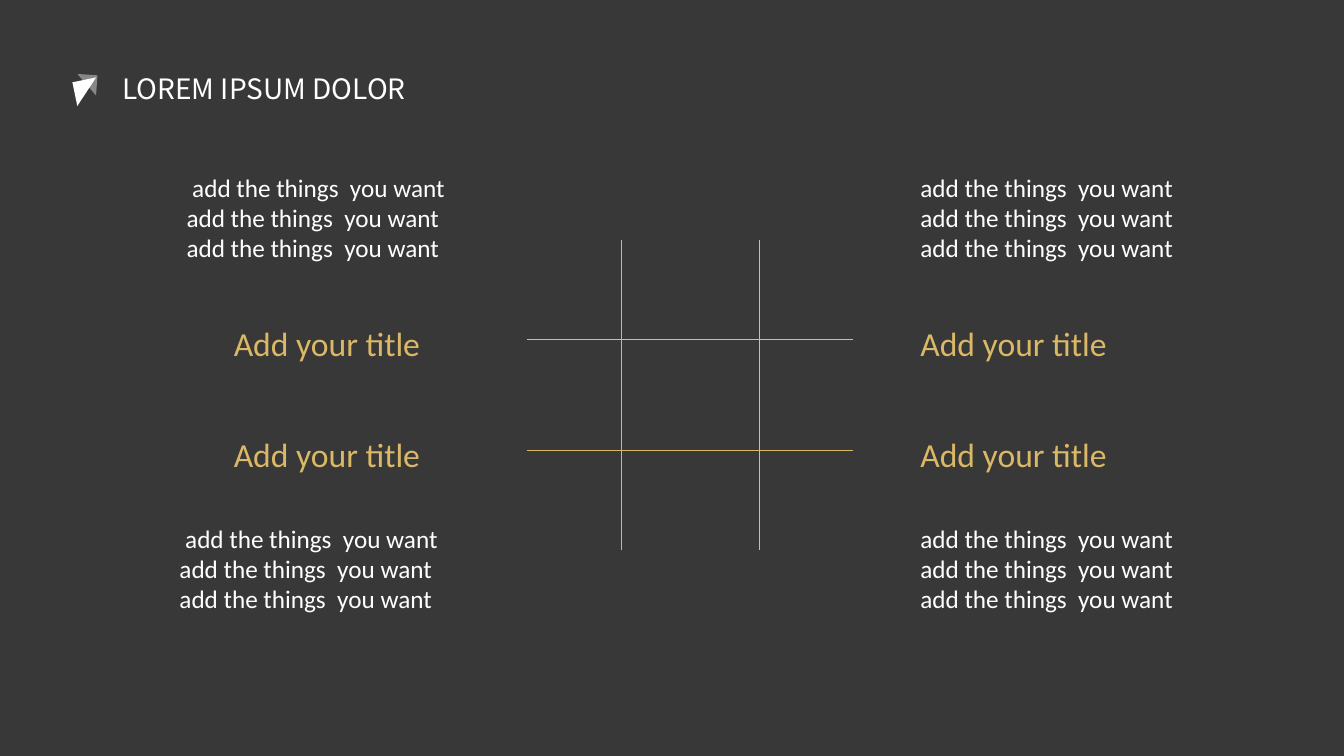
"""Build a dark slide with a crossed-line grid and four captioned corners."""
from lxml.etree import SubElement
from pptx import Presentation
from pptx.dml.color import RGBColor
from pptx.enum.shapes import MSO_CONNECTOR, MSO_SHAPE
from pptx.enum.text import MSO_AUTO_SIZE, PP_ALIGN
from pptx.oxml.ns import qn
from pptx.util import Inches, Pt

DARK = RGBColor(0x38, 0x38, 0x38)
WHITE = RGBColor(0xFF, 0xFF, 0xFF)
GOLD = RGBColor(0xDA, 0xB8, 0x65)
AMBER = RGBColor(0xEB, 0xB3, 0x50)
GREY = RGBColor(0xBF, 0xBF, 0xBF)

HEAD = "LOREM IPSUM DOLOR "
LABEL = "Add your title"
ITEM = "add the things  you want"
LEFT = [ITEM, ITEM + " ", ITEM + " "]
RIGHT = [ITEM] * 3

HEADFMT = {"size": Pt(20), "name": "Noto Sans CJK JP"}
LABELFMT = {"size": Pt(24), "name": "Calibri"}
ITEMFMT = {"size": Pt(18), "name": "Calibri"}

CORNERS = [
    (2.22, 3.15, 1.52, 1.66, LEFT, PP_ALIGN.RIGHT),
    (9.03, 3.15, 9.03, 1.66, RIGHT, PP_ALIGN.LEFT),
    (2.22, 4.26, 1.45, 5.14, LEFT, PP_ALIGN.RIGHT),
    (9.03, 4.26, 9.03, 5.14, RIGHT, PP_ALIGN.LEFT),
]
ROWS = [(3.37, GREY), (4.47, GOLD)]
COLS = [(6.16, AMBER), (7.53, GREY)]
SPANX = (5.23, 8.46)
SPANY = (2.38, 5.46)
MARKS = [(0.74, 0.79, 0.24, 78.4, 100), (0.76, 0.74, 0.2, 184, 40)]

deck = Presentation()
deck.slide_width, deck.slide_height = Inches(13.33), Inches(7.5)
slide = deck.slides.add_slide(deck.slide_layouts[6])
shapes = slide.shapes


def block(kind, box, color):
    shape = shapes.add_shape(kind, *map(Inches, box))
    shape.shadow.inherit = False
    shape.fill.solid()
    shape.fill.fore_color.rgb = color
    shape.line.fill.background()
    return shape


def write(box, lines, form, color, align=PP_ALIGN.LEFT, wrap=True):
    frame = shapes.add_textbox(*map(Inches, box)).text_frame
    frame.word_wrap = wrap
    frame.auto_size = MSO_AUTO_SIZE.SHAPE_TO_FIT_TEXT
    for i, line in enumerate(lines):
        para = frame.paragraphs[0] if i == 0 else frame.add_paragraph()
        para.alignment = align
        run = para.add_run()
        run.text = line
        for key, value in form.items():
            setattr(run.font, key, value)
        run.font.color.rgb = color
        if form is HEADFMT:
            SubElement(run.font._element, qn("a:ea"), typeface=form["name"])


def rule(x1, y1, x2, y2, color):
    line = shapes.add_connector(MSO_CONNECTOR.STRAIGHT, *map(Inches, (x1, y1, x2, y2)))
    line.line.color.rgb = color
    line.line.width = Pt(0.5)
    SubElement(line._element.spPr, qn("a:effectLst"))


block(MSO_SHAPE.RECTANGLE, (0, 0, 13.33, 7.5), DARK)
write((1, 0.66, 3.3, 0.44), [HEAD], HEADFMT, WHITE, PP_ALIGN.CENTER, False)

for x, y, side, turn, solid in MARKS:
    mark = block(MSO_SHAPE.RIGHT_TRIANGLE, (x, y, side, side), WHITE)
    mark.rotation = turn
    if solid < 100:
        tint = mark._element.spPr.find(".//" + qn("a:srgbClr"))
        SubElement(tint, qn("a:alpha"), val=str(solid * 1000))

for y, color in ROWS:
    rule(SPANX[0], y, SPANX[1], y, color)
for x, color in COLS:
    rule(x, SPANY[0], x, SPANY[1], color)

for tx, ty, bx, by, lines, align in CORNERS:
    write((tx, ty, 2.21, 0.51), [LABEL], LABELFMT, GOLD)
    write((bx, by, 2.99, 1.01), lines, ITEMFMT, WHITE, align)

deck.save("out.pptx")
